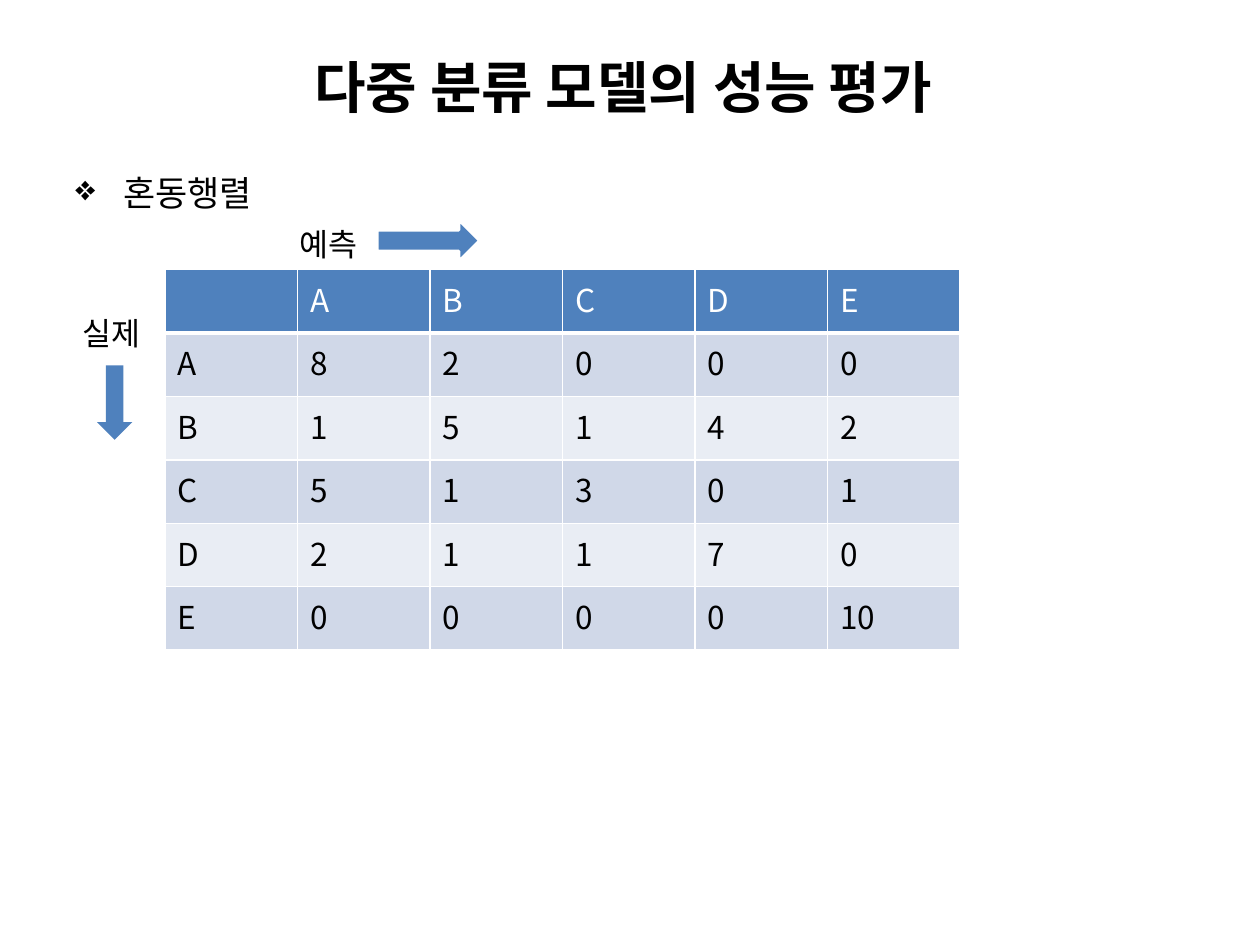
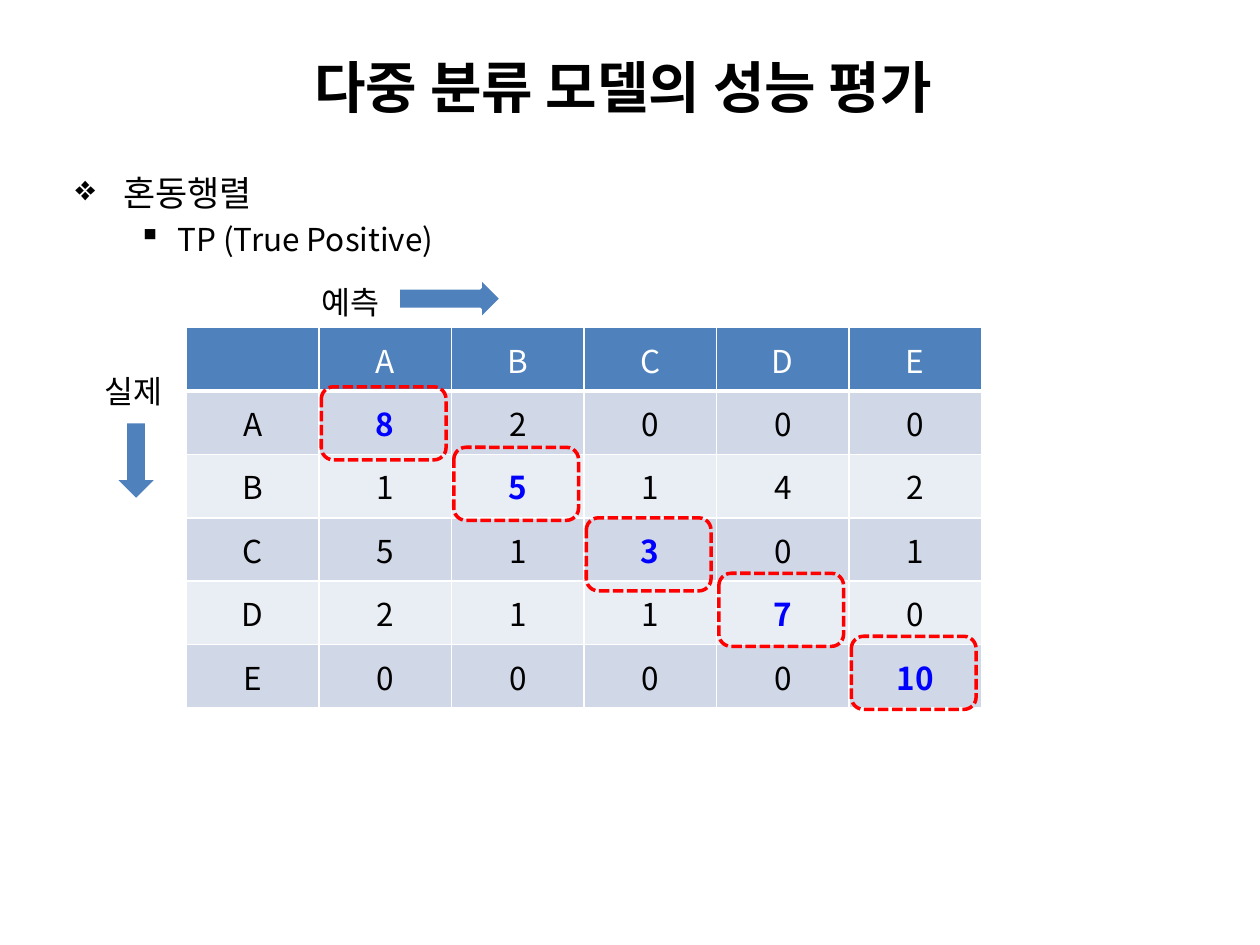
from dataclasses import dataclass

from pptx import Presentation
from pptx.dml.color import RGBColor
from pptx.enum.dml import MSO_LINE
from pptx.enum.shapes import MSO_SHAPE as Preset
from pptx.enum.text import MSO_ANCHOR as Anchor, PP_ALIGN as Align
from pptx.oxml import parse_xml
from pptx.oxml.ns import nsdecls
from pptx.oxml.xmlchemy import OxmlElement
from pptx.slide import Slide
from pptx.text.text import TextFrame, _Paragraph as Paragraph
from pptx.util import Inches, Pt


@dataclass(frozen=True)
class Theme:
    title_font: str = "Arial"
    body_font: str = "Noto Sans CJK KR"
    title_size: int = 32
    topic_size: int = 20
    text_size: int = 18
    black: str = "000000"
    white: str = "FFFFFF"
    blue: str = "4F81BD"
    odd_row: str = "D0D8E8"
    even_row: str = "E9EDF4"
    hit: str = "0000FF"
    ring: str = "FF0000"


@dataclass(frozen=True)
class Bullet:
    text: str
    size: int
    mark: str
    indent: float
    hanging: float
    level: int = 0


@dataclass(frozen=True)
class MatrixSlide:
    bullets: tuple[Bullet, ...]
    left: float
    top: float
    centred: bool = False
    ring_tops: tuple[float, ...] = ()


THEME = Theme()
TITLE = "다중 분류 모델의 성능 평가 "
CLASSES = "ABCDE"
COUNTS = (
    (8, 2, 0, 0, 0),
    (1, 5, 1, 4, 2),
    (5, 1, 3, 0, 1),
    (2, 1, 1, 7, 0),
    (0, 0, 0, 0, 10),
)
MATRIX_WIDTH, MATRIX_HEIGHT = 6.31, 3.02
GRID = len(CLASSES) + 1

TOPIC = Bullet("혼동행렬", THEME.topic_size, "❖", 0.38, 0.38)
TRUE_POSITIVE = Bullet("TP (True Positive)", THEME.text_size, "▪", 0.81, 0.31, 1)
SLIDES = (
    MatrixSlide((TOPIC,), 1.31, 2.14),
    MatrixSlide((TOPIC, TRUE_POSITIVE), 1.48, 2.6, centred=True,
                ring_tops=(3.07, 3.55, 4.11, 4.55, 5.05)),
)


def rgb(colour: str) -> RGBColor:
    return RGBColor.from_string(colour)


def write(paragraph: Paragraph, text: str, *, size: int = THEME.text_size,
          font: str = THEME.body_font, colour: str = THEME.black,
          bold: bool = False, align: Align = Align.LEFT) -> None:
    paragraph.alignment = align
    run = paragraph.add_run()
    run.text = text
    run.font.name = font
    run.font.size = Pt(size)
    run.font.bold = bold
    run.font.color.rgb = rgb(colour)


def add_frame(slide: Slide, left: float, top: float, width: float,
              height: float, wrap: bool = True) -> TextFrame:
    frame = slide.shapes.add_textbox(
        Inches(left), Inches(top), Inches(width), Inches(height)).text_frame
    frame.word_wrap = wrap
    return frame


def add_preset(slide: Slide, preset: Preset, left: float, top: float, width: float,
               height: float, *, fill: str = "", line: str = "",
               dashed: bool = False) -> None:
    shape = slide.shapes.add_shape(
        preset, Inches(left), Inches(top), Inches(width), Inches(height))
    shape.shadow.inherit = False
    if fill:
        shape.fill.solid()
        shape.fill.fore_color.rgb = rgb(fill)
    else:
        shape.fill.background()
    if line:
        shape.line.color.rgb = rgb(line)
        shape.line.width = Pt(2)
    else:
        shape.line.fill.background()
    if dashed:
        shape.line.dash_style = MSO_LINE.SQUARE_DOT


def add_title(slide: Slide) -> None:
    frame = add_frame(slide, 0.5, 0.3, 9, 0.77)
    frame.vertical_anchor = Anchor.MIDDLE
    write(frame.paragraphs[0], TITLE, size=THEME.title_size,
          font=THEME.title_font, bold=True, align=Align.CENTER)


def add_bullets(slide: Slide, bullets: tuple[Bullet, ...]) -> None:
    frame = add_frame(slide, 0.5, 1.31, 9, 5.83)
    for index, bullet in enumerate(bullets):
        paragraph = frame.add_paragraph() if index else frame.paragraphs[0]
        paragraph.level = bullet.level
        paragraph.space_before = Pt(bullet.size * 0.2)
        write(paragraph, bullet.text, size=bullet.size)
        properties = paragraph._p.get_or_add_pPr()
        properties.set("marL", str(Inches(bullet.indent)))
        properties.set("indent", str(-Inches(bullet.hanging)))
        mark = OxmlElement("a:buChar")
        mark.set("char", bullet.mark)
        properties.append(mark)


def set_borders(cell, bottom: int) -> None:
    properties = cell._tc.get_or_add_tcPr()
    for side, points in (("L", 1), ("R", 1), ("T", 1), ("B", bottom)):
        properties.append(parse_xml(
            f'<a:ln{side} {nsdecls("a")} w="{Pt(points)}"><a:solidFill>'
            f'<a:srgbClr val="{THEME.white}"/></a:solidFill></a:ln{side}>'))


def add_matrix(slide: Slide, page: MatrixSlide) -> None:
    table = slide.shapes.add_table(
        GRID, GRID, Inches(page.left), Inches(page.top),
        Inches(MATRIX_WIDTH), Inches(MATRIX_HEIGHT)).table
    rows = [("", *CLASSES)]
    rows += [(name, *counts) for name, counts in zip(CLASSES, COUNTS)]
    for r, values in enumerate(rows):
        header = r == 0
        band = THEME.odd_row if r % 2 else THEME.even_row
        for c, value in enumerate(values):
            cell = table.cell(r, c)
            set_borders(cell, bottom=3 if header else 1)
            cell.fill.solid()
            cell.fill.fore_color.rgb = rgb(THEME.blue if header else band)
            cell.vertical_anchor = Anchor.MIDDLE if page.centred else Anchor.TOP
            if value == "":
                continue
            hit = bool(page.ring_tops) and r == c
            colour = THEME.white if header else THEME.hit if hit else THEME.black
            write(cell.text_frame.paragraphs[0], str(value), colour=colour, bold=hit,
                  align=Align.CENTER if page.centred else Align.LEFT)


def add_axes(slide: Slide, left: float, top: float) -> None:
    # Axis names and arrows keep their distance from the matrix corner
    for name, dx, dy in (("예측", 0.97, -0.4), ("실제", -0.75, 0.3)):
        frame = add_frame(slide, left + dx, top + dy, 0.71, 0.4, wrap=False)
        write(frame.paragraphs[0], name)
    add_preset(slide, Preset.RIGHT_ARROW, left + 1.68, top - 0.4, 0.82, 0.34,
               fill=THEME.blue, line=THEME.white)
    add_preset(slide, Preset.DOWN_ARROW, left - 0.54, top + 0.76, 0.28, 0.59,
               fill=THEME.blue)


def add_rings(slide: Slide, page: MatrixSlide) -> None:
    # One dashed ring for each diagonal count
    for index, top in enumerate(page.ring_tops):
        left = page.left + 1.07 + index * MATRIX_WIDTH / GRID
        add_preset(slide, Preset.ROUNDED_RECTANGLE, left, top, 0.99, 0.58,
                   line=THEME.ring, dashed=True)


def main() -> None:
    deck = Presentation()
    deck.slide_width, deck.slide_height = Inches(10), Inches(7.5)
    for page in SLIDES:
        slide = deck.slides.add_slide(deck.slide_layouts[6])
        add_title(slide)
        add_bullets(slide, page.bullets)
        add_matrix(slide, page)
        add_axes(slide, page.left, page.top)
        add_rings(slide, page)
    deck.save("out.pptx")


if __name__ == "__main__":
    main()
